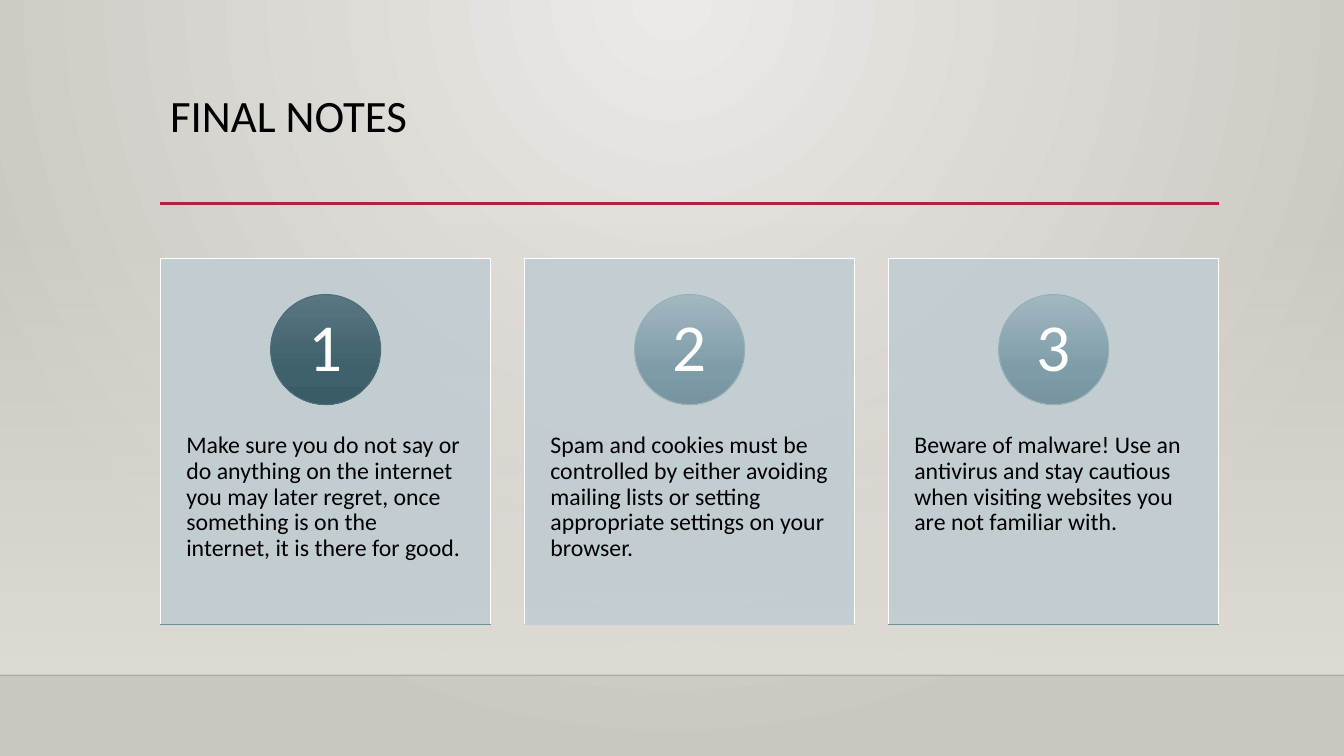
"""Build the slide of three numbered closing notes on internet safety."""
import pptx
import pptx.util
import pptx.enum.shapes
import pptx.enum.text
import pptx.dml.color
import pptx.oxml
import pptx.oxml.ns
from lxml import etree

Pt = pptx.util.Pt
qn = pptx.oxml.ns.qn
rgb = pptx.dml.color.RGBColor.from_string
kinds = pptx.enum.shapes.MSO_SHAPE
aligns = pptx.enum.text.PP_ALIGN
anchors = pptx.enum.text.MSO_ANCHOR

hues = {
    "ink": "000000", "white": "FFFFFF", "red": "B71E42", "floor": "000001",
    "glow": "ECEAE7", "edge": "CAC7C1", "wall": "DFDBD5", "card": "C0CDD2",
    "deep": "6D909D", "pale": "C3CFD3",
}
dark = [(0, "587782"), (69, "3E616C"), (100, "3A5C67")], "4D6C76"
light = [(0, "A2B8C0"), (69, "7D9CA8"), (100, "77949F")], "99AFB7"
notes = [
    ("Make sure you do not say or do anything on the internet you may later "
     "regret, once something is on the internet, it is there for good.", dark, "deep"),
    ("Spam and cookies must be controlled by either avoiding mailing lists or "
     "setting appropriate settings on your browser.", light, "pale"),
    ("Beware of malware! Use an antivirus and stay cautious when visiting "
     "websites you are not familiar with.", light, "deep"),
]


def blend(owner, stops, shade='<a:lin ang="5400000" scaled="0"/>'):
    """Fill with a gradient and return its colour nodes."""
    owner.fill.gradient()
    node = next(owner_root.iter(qn("a:gradFill"))) if (owner_root := getattr(
        owner, "element", None)) is not None else next(slide.element.iter(qn("a:gradFill")))
    marks = "".join(f'<a:gs pos="{pos * 1000}"><a:srgbClr val="{hue}"/></a:gs>'
                    for pos, hue in stops)
    space = pptx.oxml.ns.nsdecls("a")
    fresh = pptx.oxml.parse_xml(
        f"<a:gradFill {space}><a:gsLst>{marks}</a:gsLst>{shade}</a:gradFill>")
    node.getparent().replace(node, fresh)
    return list(fresh.iter(qn("a:srgbClr")))


def rule(left, top, right, hue, size):
    """Draw a level line without a shadow."""
    line = slide.shapes.add_connector(
        pptx.enum.shapes.MSO_CONNECTOR.STRAIGHT, Pt(left), Pt(top), Pt(right), Pt(top))
    line.line.color.rgb = rgb(hues[hue])
    line.line.width = Pt(size)
    etree.SubElement(line.element.spPr, qn("a:effectLst"))
    return line


deck = pptx.Presentation()
deck.slide_width, deck.slide_height = Pt(960), Pt(540)
slide = deck.slides.add_slide(deck.slide_layouts[6])
shapes = slide.shapes
blend(slide.background, [(0, hues["glow"]), (100, hues["edge"])],
      '<a:path path="circle"><a:fillToRect l="43000" t="0" r="43000" b="100000"/></a:path>')

wall = shapes.add_shape(kinds.RECTANGLE, 0, Pt(159), Pt(960), Pt(323.4))
wall.shadow.inherit = False
wall.line.fill.background()
clear = blend(wall, [(0, hues["wall"]), (100, hues["wall"])])[0]
etree.SubElement(clear, qn("a:alpha"), val="0")

floor = rule(0, 482.4, 960, "floor", 1)
tint = next(floor.element.spPr.iter(qn("a:srgbClr")))
etree.SubElement(tint, qn("a:alpha"), val="20000")
rule(114.5, 145.4, 871, "red", 2.5)

title = shapes.add_textbox(Pt(114.5), Pt(63.4), Pt(756), Pt(82.8))
title.text_frame.word_wrap = True
head = title.text_frame.paragraphs[0]
head.text = "FINAL NOTES"
head.line_spacing = 0.9
head.font.name, head.font.size = "Calibri", Pt(32)
head.font.color.rgb = rgb(hues["ink"])

wide, high, top, disc = 236.2, 261.9, 184.4, 78.6
for num, (words, (stops, rim), base) in enumerate(notes):
    left = 114.5 + 260 * num
    card = shapes.add_shape(kinds.RECTANGLE, Pt(left), Pt(top), Pt(wide), Pt(high))
    card.fill.solid()
    card.fill.fore_color.rgb = rgb(hues["card"])
    tint = next(card.element.spPr.iter(qn("a:srgbClr")))
    etree.SubElement(tint, qn("a:alpha"), val="90000")
    card.line.color.rgb = rgb(hues["white"])

    note = shapes.add_textbox(Pt(left), Pt(283.7), Pt(wide), Pt(157))
    note.text_frame.text = words

    ball = shapes.add_shape(kinds.OVAL, Pt(left + (wide - disc) / 2), Pt(210.4),
                            Pt(disc), Pt(disc))
    blend(ball, stops)
    ball.line.color.rgb = rgb(rim)
    ball.text_frame.text = str(num + 1)

    for shape in (card, ball):
        shape.shadow.inherit = False
        shape.line.width = Pt(0.75)

    for box, size, hue, align, anchor, side, edge in (
            (note, 17, "ink", aligns.LEFT, anchors.TOP, 18.6, 25.8),
            (ball, 48, "white", aligns.CENTER, anchors.MIDDLE, 0, 0)):
        frame = box.text_frame
        frame.word_wrap = True
        frame.vertical_anchor = anchor
        frame.margin_left = frame.margin_right = Pt(side)
        frame.margin_top = frame.margin_bottom = Pt(edge)
        para = frame.paragraphs[0]
        para.alignment = align
        para.line_spacing = 0.9
        para.font.name, para.font.size = "Calibri", Pt(size)
        para.font.color.rgb = rgb(hues[hue])

    rule(left, top + high, left + wide, base, 0.75)

deck.save("out.pptx")
